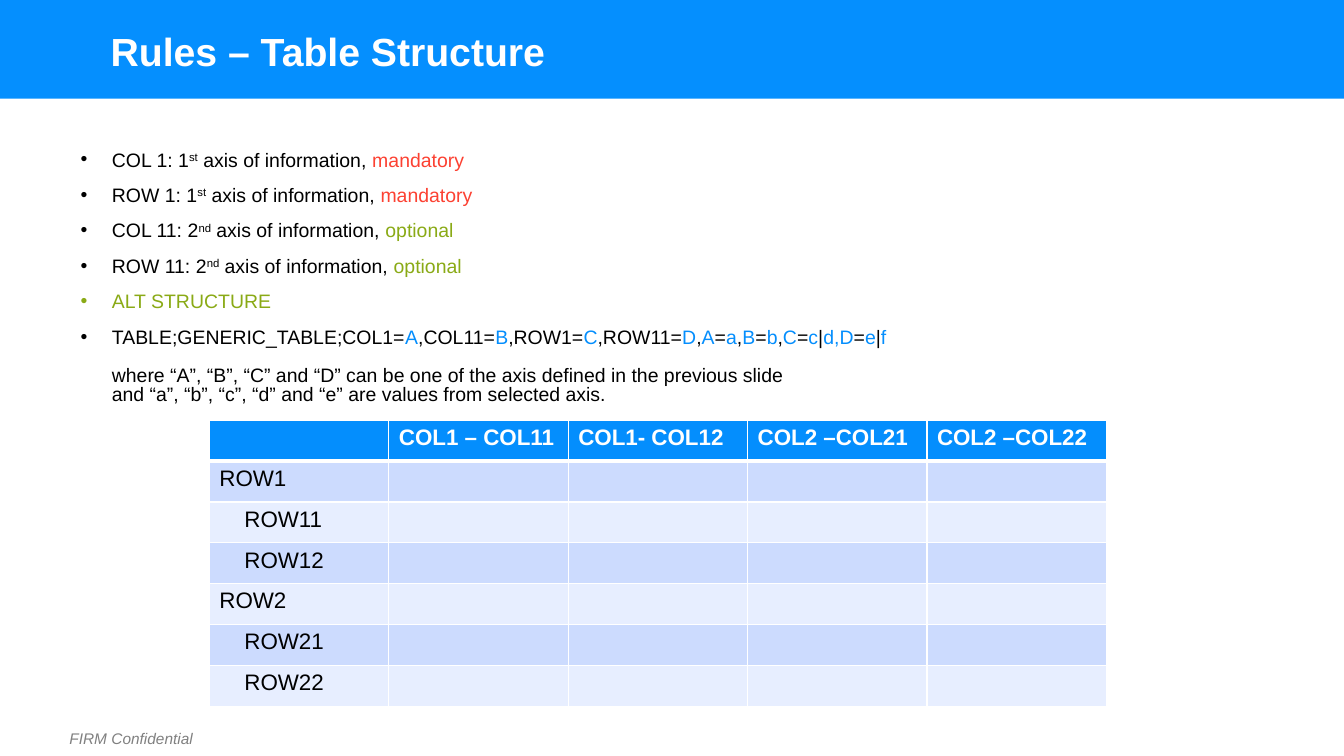
from itertools import cycle

from lxml.etree import SubElement
from pptx import Presentation
from pptx.dml.color import RGBColor
from pptx.enum.shapes import MSO_SHAPE
from pptx.oxml.ns import qn
from pptx.util import Cm, Pt

BLUE, BLACK, WHITE = "048EFD", "000000", "FFFFFF"
RED, GREEN = "FC4132", "8AAA16"
BANDS = "CCDBFE", "E7EEFF"

AXES = [
    ("COL 1: 1", "st", "mandatory", RED),
    ("ROW 1: 1", "st", "mandatory", RED),
    ("COL 11: 2", "nd", "optional", GREEN),
    ("ROW 11: 2", "nd", "optional", GREEN),
]
# Black and blue pieces take turns.
CODE = ["TABLE;GENERIC_TABLE;COL1=", "A", ",COL11=", "B", ",ROW1=", "C",
        ",ROW11=", "D", ",", "A", "=", "a", ",", "B", "=", "b", ",", "C",
        "=", "c", "|", "d,D", "=", "e", "|", "f"]
NOTES = [
    "where “A”, “B”, “C” and “D” can be one of the axis defined in the previous slide",
    "and “a”, “b”, “c”, “d” and “e” are values from selected axis.",
]
HEADS = ["", "COL1 – COL11", "COL1- COL12", "COL2 –COL21", "COL2 –COL22"]
ROWS = [("ROW1", 0), ("ROW11", 1), ("ROW12", 1),
        ("ROW2", 0), ("ROW21", 1), ("ROW22", 1)]


def paint(fill, color):
    fill.solid()
    fill.fore_color.rgb = RGBColor.from_string(color)


def add_run(para, text, size, color, bold=False, italic=False, raised=False):
    run = para.add_run()
    run.text = text
    font = run.font
    font.name, font.size = "Arial", Pt(size)
    font.bold, font.italic = bold, italic
    font.color.rgb = RGBColor.from_string(color)
    if raised:
        run._r.get_or_add_rPr().set("baseline", "30000")


def add_box(slide, left, top, width, height, wrap=True):
    box = slide.shapes.add_textbox(Cm(left), Cm(top), Cm(width), Cm(height))
    box.text_frame.word_wrap = wrap
    return box.text_frame


def add_title(slide, left, top, width, height):
    band = slide.shapes.add_shape(
        MSO_SHAPE.RECTANGLE, Cm(left), Cm(top), Cm(width), Cm(height))
    band.shadow.inherit = False
    paint(band.fill, "058FFE")
    band.line.fill.background()
    frame = add_box(slide, left + 2.54, top + 0.71, width - 4.66, 1.12)
    para = frame.paragraphs[0]
    para.line_spacing = 0.9
    add_run(para, "Rules – Table Structure", 28, WHITE, bold=True)


def add_para(frame, gap=12, bullet=True):
    """Start an indented paragraph; the first in a frame has no gap."""
    para = frame.paragraphs[0]
    if para.runs:
        para = frame.add_paragraph()
        para.space_before = Pt(gap)
    para.line_spacing = 0.8
    props = para._p.get_or_add_pPr()
    props.set("marL", str(Cm(0.79)))
    props.set("indent", str(Cm(-0.79 if bullet else 0)))
    if bullet:
        SubElement(props, qn("a:buFont"), typeface="Arial")
        SubElement(props, qn("a:buChar"), char="•")
    else:
        SubElement(props, qn("a:buNone"))
    return para


def add_rules(slide, left, top, width, height):
    size = 13.9
    frame = add_box(slide, left, top, width, height)
    for name, mark, need, color in AXES:
        para = add_para(frame)
        add_run(para, name, size, BLACK)
        add_run(para, mark, size, BLACK, raised=True)
        add_run(para, " axis of information, ", size, BLACK)
        add_run(para, need, size, color)
    add_run(add_para(frame), "ALT STRUCTURE", size, GREEN)
    para = add_para(frame)
    for text, color in zip(CODE, cycle([BLACK, BLUE])):
        add_run(para, text, size, color)
    para = add_para(frame, gap=14, bullet=False)
    add_run(para, NOTES[0], size, BLACK)
    para.add_line_break()
    add_run(para, NOTES[1], size, BLACK)


def style_cell(cell, color, top=1, bottom=1):
    """Fill a cell and draw its white borders, with widths in points."""
    props = cell._tc.get_or_add_tcPr()
    for side, width in zip("LRTB", (1, 1, top, bottom)):
        line = SubElement(props, qn("a:ln" + side), w=str(Pt(width)))
        fill = SubElement(line, qn("a:solidFill"))
        SubElement(fill, qn("a:srgbClr"), val=WHITE)
    paint(cell.fill, color)


def add_grid(slide, left, top, width, height):
    count = len(ROWS) + 1
    table = slide.shapes.add_table(
        count, len(HEADS), Cm(left), Cm(top), Cm(width), Cm(height)).table
    for row in table.rows:
        row.height = Cm(height / count)
    for col, head in enumerate(HEADS):
        table.columns[col].width = Cm(width / len(HEADS))
        cell = table.cell(0, col)
        style_cell(cell, BLUE, bottom=3)
        if head:
            add_run(cell.text_frame.paragraphs[0], head, 16, WHITE, bold=True)
    for row, ((name, level), color) in enumerate(zip(ROWS, cycle(BANDS)), 1):
        for col in range(len(HEADS)):
            style_cell(table.cell(row, col), color, top=3 if row == 1 else 1)
        cell = table.cell(row, 0)
        cell.margin_left = Cm(0.25 + 0.63 * level)
        add_run(cell.text_frame.paragraphs[0], name, 16, BLACK)


def add_footer(slide, left, top, width, height):
    frame = add_box(slide, left, top, width, height, wrap=False)
    add_run(frame.paragraphs[0], "FIRM Confidential", 11, "808080", italic=True)


def main():
    deck = Presentation()
    deck.slide_width, deck.slide_height = Cm(33.87), Cm(19.05)
    slide = deck.slides.add_slide(deck.slide_layouts[6])
    add_title(slide, 0, 0, 33.87, 2.49)
    add_footer(slide, 1.5, 18.26, 3.73, 0.74)
    add_rules(slide, 1.78, 3.71, 30.38, 6.88)
    add_grid(slide, 5.28, 10.59, 22.6, 7.21)
    deck.save("out.pptx")


if __name__ == "__main__":
    main()
